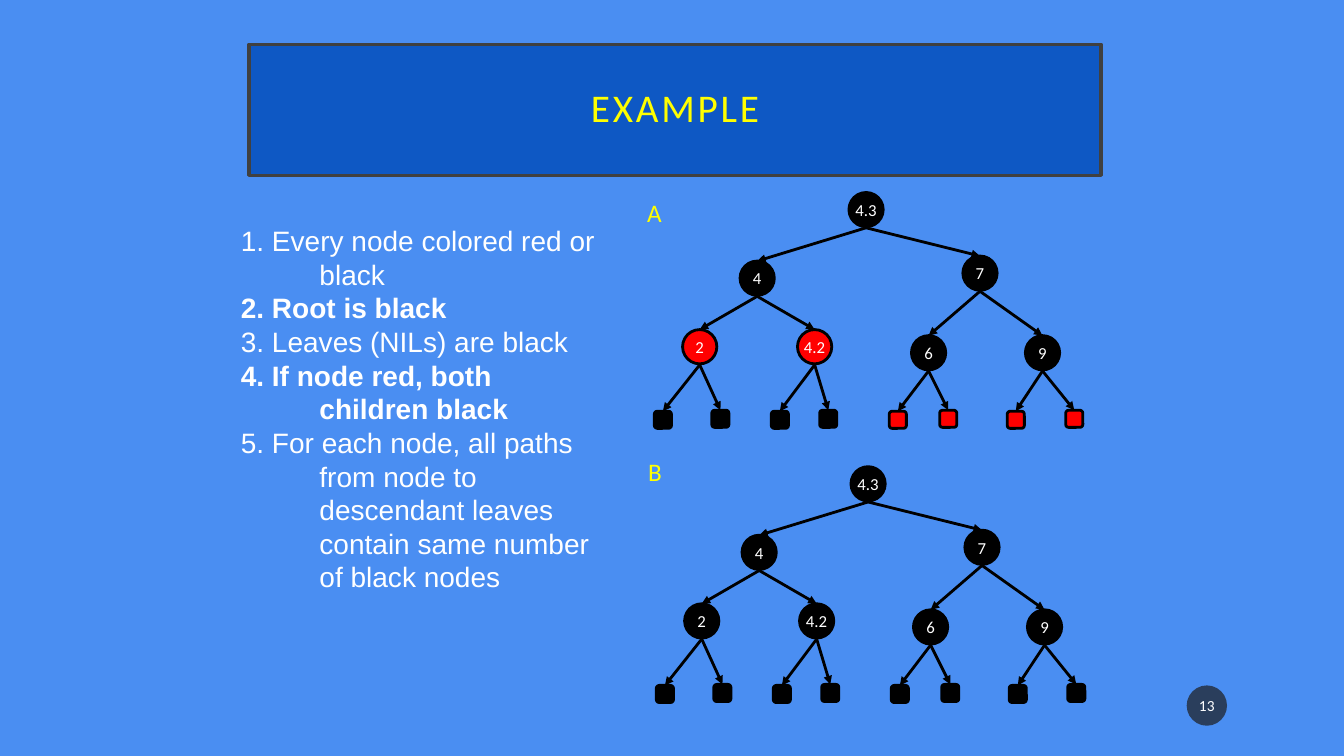
from pptx import Presentation
from pptx import util as u
from pptx.dml.color import RGBColor
from pptx.enum import shapes, text
from pptx.oxml.ns import qn
from lxml import etree

PX = 9144
HUES = {"sky": "4A8EF2", "blue": "0E58C4", "edge": "404040", "dark": "1D1D1D",
        "black": "000000", "red": "FF0000", "white": "FFFFFF", "gold": "FFFF00"}
KIND = shapes.MSO_SHAPE
MID = text.MSO_ANCHOR.MIDDLE
HEAP = [("4.3", 842, 191), ("4", 734, 259), ("7", 955, 254), ("2", 677, 327),
        ("4.2", 791, 327), ("6", 904, 333), ("9", 1017, 333)]
LEAVES = [649, 706, 765, 813, 882, 932, 999, 1057]
RULES = [("1. Every node colored red or black", False),
         ("2. Root is black", True),
         ("3. Leaves (NILs) are black", False),
         ("4. If node red, both children black", True),
         ("5. For each node, all paths from node to descendant leaves "
          "contain same number of black nodes", False)]
TREES = [("A", 632, 191, 0, 0, {3, 4, 11, 12, 13, 14}),
         ("B", 633, 448, 2, 272, set())]


def rgb(hue):
    return RGBColor.from_string(HUES[hue])


class Deck:
    font = "Calibri"
    node = 34
    leaf = 17

    def __init__(self, wide, high):
        self.show = Presentation()
        self.show.slide_width = wide * PX
        self.show.slide_height = high * PX
        self.page = self.show.slides.add_slide(self.show.slide_layouts[6])
        fill = self.page.background.fill
        fill.solid()
        fill.fore_color.rgb = rgb("sky")

    def run(self, para, words, size, hue, font=None, bold=False):
        run = para.add_run()
        run.text = words
        run.font.size = u.Pt(size)
        run.font.name = font or self.font
        run.font.bold = bold
        run.font.color.rgb = rgb(hue)
        return run

    def shape(self, kind, box, fill, line=None, width=2):
        item = self.page.shapes.add_shape(kind, *[n * PX for n in box])
        item.shadow.inherit = False
        item.fill.solid()
        item.fill.fore_color.rgb = rgb(fill)
        if line:
            item.line.color.rgb = rgb(line)
            item.line.width = u.Pt(width)
        else:
            item.line.fill.background()
        return item

    def label(self, item, words, size, hue, wrap=True, pad=(10, 5)):
        frame = item.text_frame
        frame.word_wrap = wrap
        frame.vertical_anchor = MID
        frame.margin_left = frame.margin_right = pad[0] * PX
        frame.margin_top = frame.margin_bottom = pad[1] * PX
        para = frame.paragraphs[0]
        para.alignment = text.PP_ALIGN.CENTER
        return para, self.run(para, words, size, hue)

    def title(self, words, box):
        item = self.shape(KIND.RECTANGLE, box, "blue", "edge", 2.5)
        para, run = self.label(item, words, 28, "gold", pad=(20, 20))
        para.line_spacing = 0.9
        run.font._element.set("spc", "200")

    def badge(self, words, box):
        item = self.shape(KIND.OVAL, box, "dark")
        tint = item.fill._xPr.find(qn("a:solidFill"))[0]
        etree.SubElement(tint, qn("a:alpha")).set("val", "70000")
        self.label(item, words, 11, "white", pad=(2, 5))

    def text(self, box):
        return self.page.shapes.add_textbox(*[n * PX for n in box]).text_frame

    def caption(self, words, box):
        frame = self.text(box)
        frame.word_wrap = False
        frame.auto_size = text.MSO_AUTO_SIZE.SHAPE_TO_FIT_TEXT
        self.run(frame.paragraphs[0], words, 18, "gold")

    def rules(self, items, box, hang):
        frame = self.text(box)
        frame.word_wrap = True
        for i, (words, bold) in enumerate(items):
            para = frame.add_paragraph() if i else frame.paragraphs[0]
            props = para._p.get_or_add_pPr()
            props.set("marL", str(hang * PX))
            props.set("indent", str(-hang * PX))
            self.run(para, words, 20, "white", "Arial", bold)

    def arrow(self, top, low):
        x = top.left + top.width // 2
        y = top.top + top.height
        line = self.page.shapes.add_connector(
            shapes.MSO_CONNECTOR.STRAIGHT, x, y + PX, low.left, low.top)
        line.end_connect(low, 0)
        line.line.color.rgb = rgb("black")
        line.line.width = u.Pt(2)
        props = line.line._get_or_add_ln()
        etree.SubElement(props, qn("a:tailEnd")).set("type", "triangle")
        etree.SubElement(line._element.spPr, qn("a:effectLst"))

    def tree(self, dx, dy, reds):
        spots = [(KIND.OVAL, self.node, *spot) for spot in HEAP]
        spots += [(KIND.ROUNDED_RECTANGLE, self.leaf, "", x, 408 - i % 2)
                  for i, x in enumerate(LEAVES)]
        nodes = []
        for i, (kind, size, key, x, y) in enumerate(spots):
            hue = "red" if i in reds else "black"
            item = self.shape(kind, (x + dx, y + dy, size, size), hue, "black")
            if key:
                self.label(item, key, 12, "white", wrap=False)
            nodes.append(item)
        for i in range(1, len(nodes)):
            self.arrow(nodes[(i - 1) // 2], nodes[i])


def main():
    deck = Deck(1333, 750)
    deck.badge("13", (1177, 680, 40, 40))
    deck.title("EXAMPLE", (247, 44, 845, 130))
    deck.rules(RULES, (229, 217, 379, 475), 78)
    for name, x, y, dx, dy, reds in TREES:
        deck.tree(dx, dy, reds)
        deck.caption(name, (x, y, 35, 40))
    deck.show.save("out.pptx")


if __name__ == "__main__":
    main()
